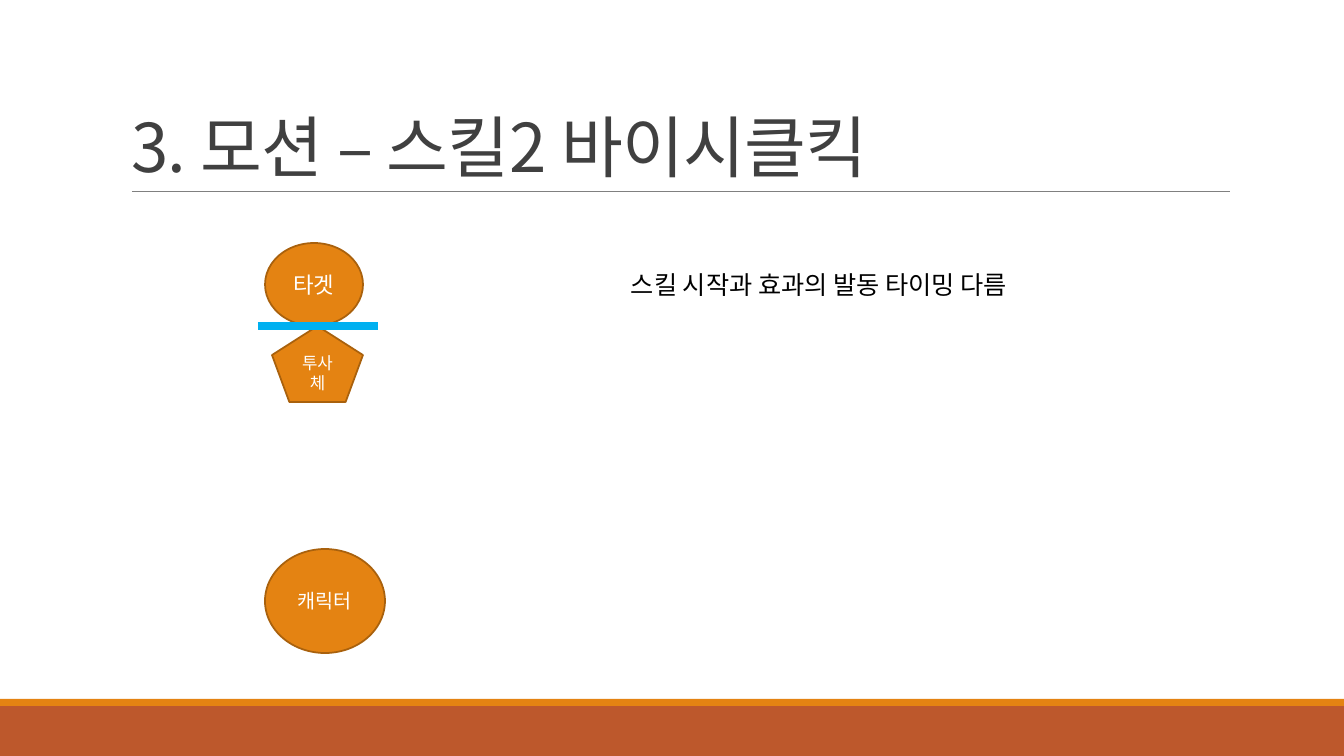
from pptx import Presentation
from pptx.dml.color import RGBColor
from pptx.enum.shapes import MSO_CONNECTOR, MSO_SHAPE
from pptx.enum.text import MSO_ANCHOR, MSO_AUTO_SIZE, PP_ALIGN
from pptx.oxml.ns import qn
from pptx.util import Emu, Pt

EMU_PER_PX = 914400 / 100.8
PAGE_WIDTH, PAGE_HEIGHT = 1344, 756

ORANGE = RGBColor(0xE4, 0x83, 0x12)
BROWN = RGBColor(0xA9, 0x61, 0x0D)
RUST = RGBColor(0xBD, 0x58, 0x2C)
GRAY = RGBColor(0x80, 0x80, 0x80)
CHARCOAL = RGBColor(0x40, 0x40, 0x40)
SKY = RGBColor(0x00, 0xB0, 0xF0)
WHITE = RGBColor(0xFF, 0xFF, 0xFF)
BLACK = RGBColor(0x00, 0x00, 0x00)

BODY_FONT = "Calibri"
HANGUL_FONT = "Noto Sans CJK KR"


def px(*lengths):
    return [Emu(round(length * EMU_PER_PX)) for length in lengths]


def set_text(box, text, size, color, font=BODY_FONT, align=PP_ALIGN.LEFT, **frame_format):
    """Write one paragraph and return it with its span."""
    frame = box.text_frame
    for name, value in frame_format.items():
        setattr(frame, name, value)
    para = frame.paragraphs[0]
    para.alignment = align
    span = para.add_run()
    span.text = text
    for name, value in {"size": Pt(size), "name": font}.items():
        setattr(span.font, name, value)
    span.font.color.rgb = color
    east_asian = span.font._element.makeelement(qn("a:ea"), {"typeface": HANGUL_FONT})
    span.font._element.append(east_asian)
    return para, span


def add_title(page, text):
    title = page.shapes.title
    title.left, title.top, title.width, title.height = px(121, 31, 1109, 160)
    para, span = set_text(title, text, 48, CHARCOAL, HANGUL_FONT,
                          vertical_anchor=MSO_ANCHOR.BOTTOM,
                          auto_size=MSO_AUTO_SIZE.NONE, word_wrap=True)
    para.line_spacing = 0.85
    span.font._element.set("spc", "-50")


def add_filled(page, kind, bounds, fill):
    shape = page.shapes.add_shape(kind, *px(*bounds))
    shape.shadow.inherit = False
    shape.fill.solid()
    shape.fill.fore_color.rgb = fill
    return shape


def add_bar(page, top, height, fill):
    bar = add_filled(page, MSO_SHAPE.RECTANGLE, (0, top, PAGE_WIDTH, height), fill)
    bar.line.fill.background()


def add_actor(page, kind, bounds, text, size):
    """Add an outlined shape that stands for something in the motion."""
    actor = add_filled(page, kind, bounds, ORANGE)
    actor.line.color.rgb = BROWN
    actor.line.width = Pt(1.25)
    set_text(actor, text, size, WHITE, align=PP_ALIGN.CENTER,
             vertical_anchor=MSO_ANCHOR.MIDDLE, word_wrap=True)


def add_rule(page, left, right, y, color, width):
    rule = page.shapes.add_connector(MSO_CONNECTOR.STRAIGHT, *px(left, y, right, y))
    rule.line.color.rgb = color
    rule.line.width = Pt(width)
    properties = rule._element.spPr
    properties.append(properties.makeelement(qn("a:effectLst"), {}))


def add_note(page, bounds, text):
    note = page.shapes.add_textbox(*px(*bounds))
    set_text(note, text, 18, BLACK, word_wrap=False,
             auto_size=MSO_AUTO_SIZE.SHAPE_TO_FIT_TEXT)


def main():
    deck = Presentation()
    deck.slide_width, deck.slide_height = px(PAGE_WIDTH, PAGE_HEIGHT)
    page = deck.slides.add_slide(deck.slide_layouts[5])

    add_bar(page, 706, 50, RUST)
    add_bar(page, 699, 7, ORANGE)
    add_rule(page, 132, 1230, 191, GRAY, 0.5)
    add_title(page, "3. 모션 – 스킬2 바이시클킥")

    add_actor(page, MSO_SHAPE.OVAL, (265, 549, 120, 104), "캐릭터", 14)
    add_actor(page, MSO_SHAPE.OVAL, (265, 243, 98, 83), "타겟", 16)
    add_actor(page, MSO_SHAPE.REGULAR_PENTAGON, (272, 326, 91, 76), "투사체", 12)
    add_rule(page, 258, 378, 326, SKY, 5.25)
    add_note(page, (621, 264, 431, 40), "스킬 시작과 효과의 발동 타이밍 다름")

    deck.save("out.pptx")


if __name__ == "__main__":
    main()
